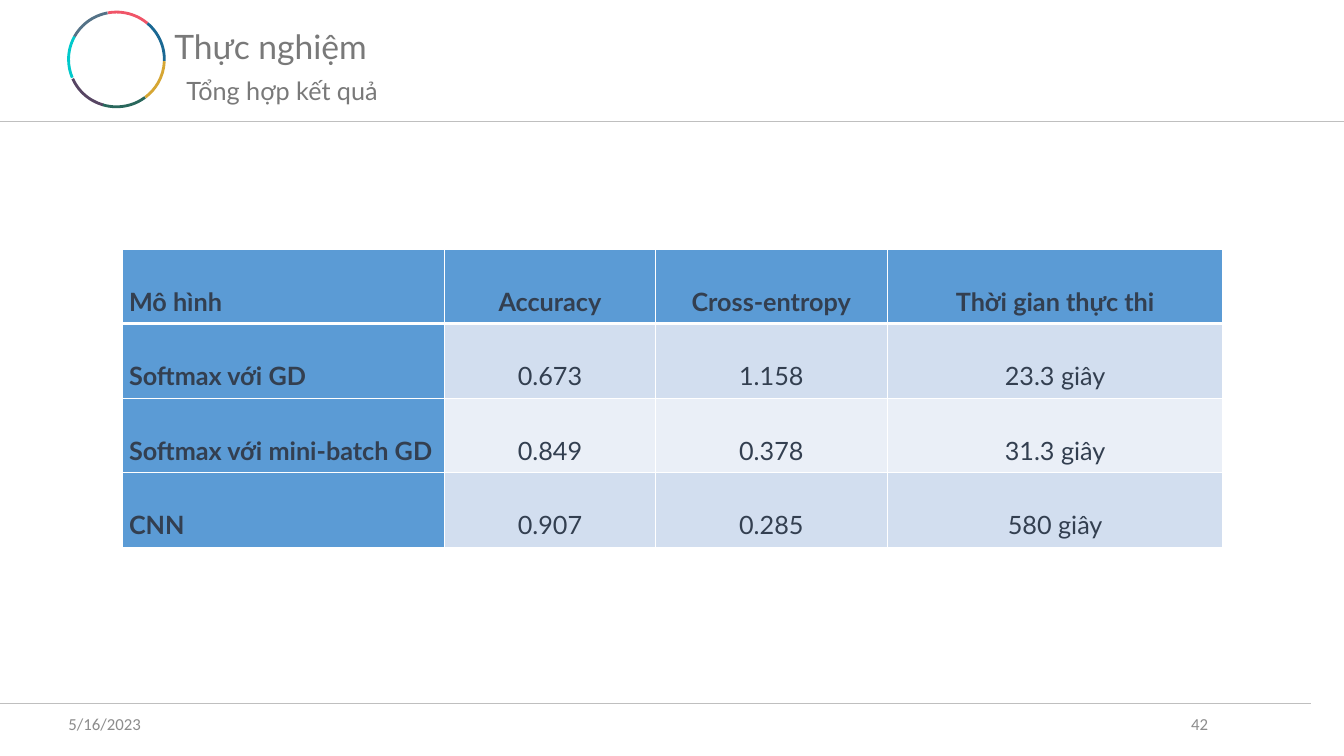
import pptx
import pptx.util
import pptx.dml.color
import pptx.enum.shapes
import pptx.enum.text
import pptx.oxml
import pptx.oxml.ns

Inches = pptx.util.Inches
Pt = pptx.util.Pt
Align = pptx.enum.text.PP_ALIGN
Anchor = pptx.enum.text.MSO_ANCHOR

COLORS = {
    "heading": "797979", "footer": "8C8C8C", "rule": "BFBFBF",
    "cell_text": "333F50", "accent": "5B9BD5", "band_dark": "D2DEEF",
    "band_light": "EAEFF7", "border": "FFFFFF",
    "purple": "574563", "teal": "01C9CB", "slate": "547287", "red": "F05568",
    "blue": "1A6893", "gold": "D6A633", "green": "29675C",
}

# Ring segments: colour, start and end angle in degrees, clockwise from the right
RING = [
    ("purple", 106.35, 156.17), ("teal", 157.56, 208.79),
    ("red", 259.32, 310.76), ("blue", 310.8, 2.08), ("gold", 2.16, 52.7),
    ("green", 53.04, 106.63), ("slate", 208.7, 259.1),
]

COLUMN_WIDTHS = [3.2, 2.09, 2.3, 3.33]
RESULTS = [
    ["Mô hình", "Accuracy", "Cross-entropy", "Thời gian thực thi"],
    ["Softmax với GD", "0.673", "1.158", "23.3 giây"],
    ["Softmax với mini-batch GD", "0.849", "0.378", "31.3 giây"],
    ["CNN", "0.907", "0.285", "580 giây"],
]


def rgb(name):
    return pptx.dml.color.RGBColor.from_string(COLORS[name])


def write_text(frame, text, size=18, color="heading", font="Lato", bold=False,
               align=Align.LEFT, spacing=None):
    paragraph = frame.paragraphs[0]
    paragraph.alignment = align
    if spacing:
        paragraph.line_spacing = spacing
    run = paragraph.add_run()
    run.text = text
    run.font.name = font
    run.font.size = Pt(size)
    run.font.bold = bold
    run.font.color.rgb = rgb(color)


def add_label(slide, text, left, top, width, height, anchor=Anchor.TOP, **text_format):
    box = slide.shapes.add_textbox(Inches(left), Inches(top), Inches(width), Inches(height))
    box.text_frame.word_wrap = True
    box.text_frame.vertical_anchor = anchor
    write_text(box.text_frame, text, **text_format)


def add_rule(slide, left, top, width):
    line = slide.shapes.add_connector(
        pptx.enum.shapes.MSO_CONNECTOR.STRAIGHT,
        Inches(left), Inches(top), Inches(left + width), Inches(top))
    line.line.color.rgb = rgb("rule")
    line.line.width = Pt(0.75)
    line._element.spPr.append(pptx.oxml.parse_xml(
        f"<a:effectLst {pptx.oxml.ns.nsdecls('a')}/>"))


def add_ring(slide, left, top, width, height):
    group = slide.shapes.add_group_shape()
    for color, start, end in RING:
        arc = group.shapes.add_shape(
            pptx.enum.shapes.MSO_SHAPE.ARC,
            Inches(left), Inches(top), Inches(width), Inches(height))
        # Angles are stored in 60000ths of a degree, adjustments in 100000ths
        arc.adjustments[0] = start * 0.6
        arc.adjustments[1] = end * 0.6
        arc.shadow.inherit = False
        arc.fill.background()
        arc.line.color.rgb = rgb(color)
        arc.line.width = Pt(2)


def add_header(slide, left, top, width, height):
    title = slide.shapes.title
    title.left, title.top = Inches(left + 1.63), Inches(top + 0.21)
    title.width, title.height = Inches(3.11), Inches(0.5)
    title.text_frame.vertical_anchor = Anchor.TOP
    title.text_frame.auto_size = pptx.enum.text.MSO_AUTO_SIZE.SHAPE_TO_FIT_TEXT
    write_text(title.text_frame, "Thực nghiệm", size=24)
    add_ring(slide, left + 0.68, top + 0.12, 0.95, 0.94)
    add_label(slide, "Tổng hợp kết quả", left + 1.75, top + 0.7, 2.17, 0.4)
    add_rule(slide, left, top + height, width)


def add_footer(slide, left, top, width, height):
    add_rule(slide, left, top, width)
    footer_format = dict(anchor=Anchor.MIDDLE, size=12, color="footer", font="Calibri")
    add_label(slide, "5/16/2023", left + 0.58, top, 3, height, **footer_format)
    add_label(slide, "42", left + 9.08, top, 3, height, align=Align.RIGHT, **footer_format)


def set_borders(cell, **widths):
    properties = cell._tc.get_or_add_tcPr()
    for position, side in enumerate("LRTB"):
        properties.insert(position, pptx.oxml.parse_xml(
            f'<a:ln{side} {pptx.oxml.ns.nsdecls("a")} w="{Pt(widths.get(side, 1))}">'
            f'<a:solidFill><a:srgbClr val="{COLORS["border"]}"/></a:solidFill></a:ln{side}>'))


def add_results_table(slide, left, top, width, height):
    table = slide.shapes.add_table(
        len(RESULTS), len(COLUMN_WIDTHS),
        Inches(left), Inches(top), Inches(width), Inches(height)).table
    table.first_col = True
    for column, column_width in zip(table.columns, COLUMN_WIDTHS):
        column.width = Inches(column_width)
    for row, values in enumerate(RESULTS):
        for column, value in enumerate(values):
            cell = table.cell(row, column)
            heading = row == 0 or column == 0
            band = "band_dark" if row % 2 else "band_light"
            cell.margin_left = cell.margin_right = Inches(0.07)
            cell.margin_top = cell.margin_bottom = Inches(0.07)
            cell.fill.solid()
            cell.fill.fore_color.rgb = rgb("accent" if heading else band)
            # A thick line divides the heading row from the results
            set_borders(cell, T=3 if row == 1 else 1, B=3 if row == 0 else 1)
            write_text(cell.text_frame, value, color="cell_text", bold=heading,
                       align=Align.CENTER if column else Align.LEFT, spacing=2.0)


def main():
    presentation = pptx.Presentation()
    presentation.slide_width = Inches(13.33)
    presentation.slide_height = Inches(7.5)
    slide = presentation.slides.add_slide(presentation.slide_layouts[5])
    add_header(slide, 0, 0, 13.33, 1.21)
    add_results_table(slide, 1.21, 2.47, sum(COLUMN_WIDTHS), 2.57)
    add_footer(slide, 0, 6.98, 13, 0.4)
    presentation.save("out.pptx")


if __name__ == "__main__":
    main()
